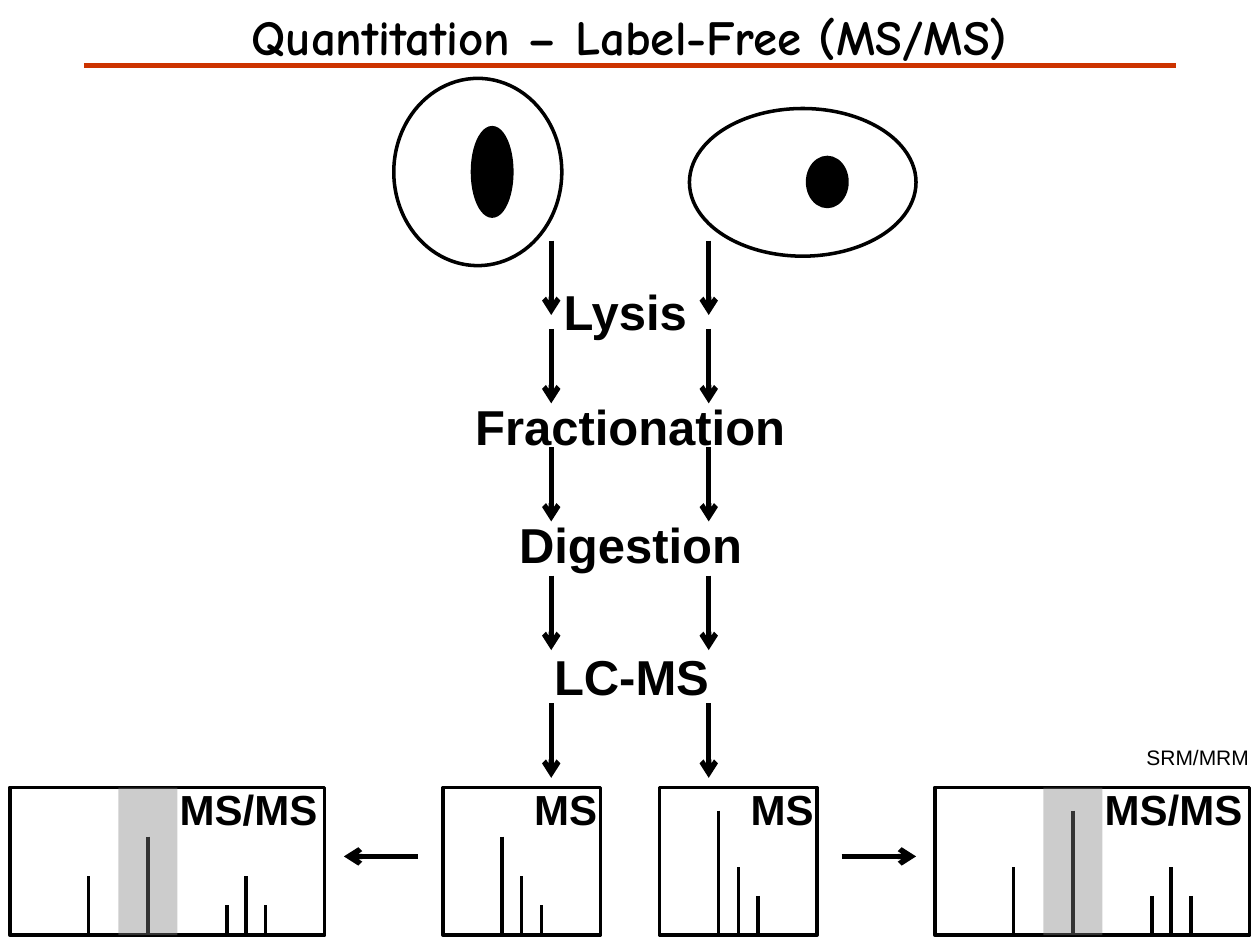
import pptx
import pptx.util
import pptx.dml.color
import pptx.enum.shapes
import pptx.enum.text
import pptx.oxml.ns
import lxml.etree

Pt = pptx.util.Pt
Shape = pptx.enum.shapes.MSO_SHAPE
Align = pptx.enum.text.PP_ALIGN
qn = pptx.oxml.ns.qn


class Theme:
    black = pptx.dml.color.RGBColor.from_string("000000")
    white = pptx.dml.color.RGBColor.from_string("FFFFFF")
    grey = pptx.dml.color.RGBColor.from_string("808080")
    rule = pptx.dml.color.RGBColor.from_string("CC3300")
    title = {"name": "Comic Neue", "size": Pt(28), "bold": True}
    step = {"name": "Arial", "size": Pt(28), "bold": True}
    panel = {"name": "Arial", "size": Pt(24), "bold": True}
    note = {"name": "Arial", "size": Pt(12), "bold": False}


deck = pptx.Presentation()
deck.slide_width, deck.slide_height = Pt(720), Pt(540)
page = deck.slides.add_slide(deck.slide_layouts[6])


def add_label(text, left, top, width, height, style, align=Align.LEFT, wrap=False):
    box = page.shapes.add_textbox(Pt(left), Pt(top), Pt(width), Pt(height))
    box.text_frame.word_wrap = wrap
    para = box.text_frame.paragraphs[0]
    para.alignment = align
    span = para.add_run()
    span.text = text
    for name, value in style.items():
        setattr(span.font, name, value)
    span.font.color.rgb = Theme.black


def add_line(start, end, width, color=Theme.black, arrow=False):
    line = page.shapes.add_connector(
        pptx.enum.shapes.MSO_CONNECTOR.STRAIGHT, *map(Pt, start + end))
    line.line.width = Pt(width)
    line.line.color.rgb = color
    if arrow:
        lxml.etree.SubElement(line.line._get_or_add_ln(), qn("a:tailEnd"), type="arrow")
    lxml.etree.SubElement(line._element.spPr, qn("a:effectLst"))


# Title and rule
add_label("Quantitation – Label-Free (MS/MS)", 104.5, 0, 510.5, 41,
          Theme.title, Align.CENTER)
add_line((48, 37.5), (672, 37.5), 2.5, Theme.rule)

# Two cells, each an outline with a nucleus
for left, top, width, height, fill in [
    (225, 44.8, 96, 107, None),
    (270, 73, 22.5, 50.5, Theme.black),
    (394, 62, 129.5, 84.4, None),
    (461.5, 90, 22.5, 28, Theme.black),
]:
    cell = page.shapes.add_shape(Shape.OVAL, Pt(left), Pt(top), Pt(width), Pt(height))
    cell.shadow.inherit = False
    cell.line.color.rgb = Theme.black
    cell.line.width = Pt(2)
    if fill is None:
        cell.fill.background()
    else:
        cell.fill.solid()
        cell.fill.fore_color.rgb = fill

# Workflow steps
for text, left, top, width in [
    ("Lysis", 315, 157.5, 85.5),
    ("Fractionation", 264.5, 223, 193.5),
    ("Digestion", 289.5, 290.5, 143),
    ("LC-MS", 309.5, 366, 104.5),
]:
    add_label(text, left, top, width, 41, Theme.step)

# Paired arrows between the steps
arrow_length = 42.5
for top in (137.5, 188, 255.5, 329, 402):
    for x in (315, 405):
        add_line((x, top), (x, top + arrow_length), 3, arrow=True)

# Arrows from MS to MS/MS
for start, direction in ((239, -1), (481, 1)):
    add_line((start, 489.4), (start + direction * arrow_length, 489.4), 3, arrow=True)

# Spectra: panel left edge, kind, and heights of low, middle and high peaks
panel_top, panel_height = 450, 84.4
panel_bottom = panel_top + panel_height
kinds = {
    "MS": {"width": 90, "label": (45, 51), "band": None,
           "peaks": [(33.75, "high"), (45, "middle"), (56.25, "low")]},
    "MS/MS": {"width": 180, "label": (90, 94), "band": 62,
              "peaks": [(45, "middle"), (79, "high"), (124, "low"),
                        (135, "middle"), (146.25, "low")]},
}
left_sample = {"low": 17, "middle": 33.8, "high": 56.3}
right_sample = {"low": 22.5, "middle": 38.8, "high": 71.2}

for left, kind, heights in [
    (5.6, "MS/MS", left_sample),
    (253.1, "MS", left_sample),
    (376.9, "MS", right_sample),
    (534.2, "MS/MS", right_sample),
]:
    layout = kinds[kind]
    frame = page.shapes.add_shape(Shape.RECTANGLE, Pt(left), Pt(panel_top),
                                  Pt(layout["width"]), Pt(panel_height))
    frame.shadow.inherit = False
    frame.fill.solid()
    frame.fill.fore_color.rgb = Theme.white
    frame.line.color.rgb = Theme.black
    frame.line.width = Pt(2)

    for offset, level in layout["peaks"]:
        x = left + offset
        add_line((x, panel_bottom - heights[level]), (x, panel_bottom), 2)

    label_offset, label_width = layout["label"]
    add_label(kind, left + label_offset, 444, label_width, 36.5, Theme.panel)

    # Translucent band over the selected peak
    if layout["band"]:
        band = page.shapes.add_shape(Shape.RECTANGLE, Pt(left + layout["band"]),
                                     Pt(panel_top), Pt(33.75), Pt(panel_height))
        band.shadow.inherit = False
        band.line.fill.background()
        band.fill.solid()
        band.fill.fore_color.rgb = Theme.grey
        color = band._element.spPr.find(qn("a:solidFill"))[0]
        lxml.etree.SubElement(color, qn("a:alpha"), val="40000")

# Note above the right MS/MS panel, wide enough for one line
add_label("SRM/MRM", 648, 422, 120, 21.6, Theme.note, wrap=True)

deck.save("out.pptx")
